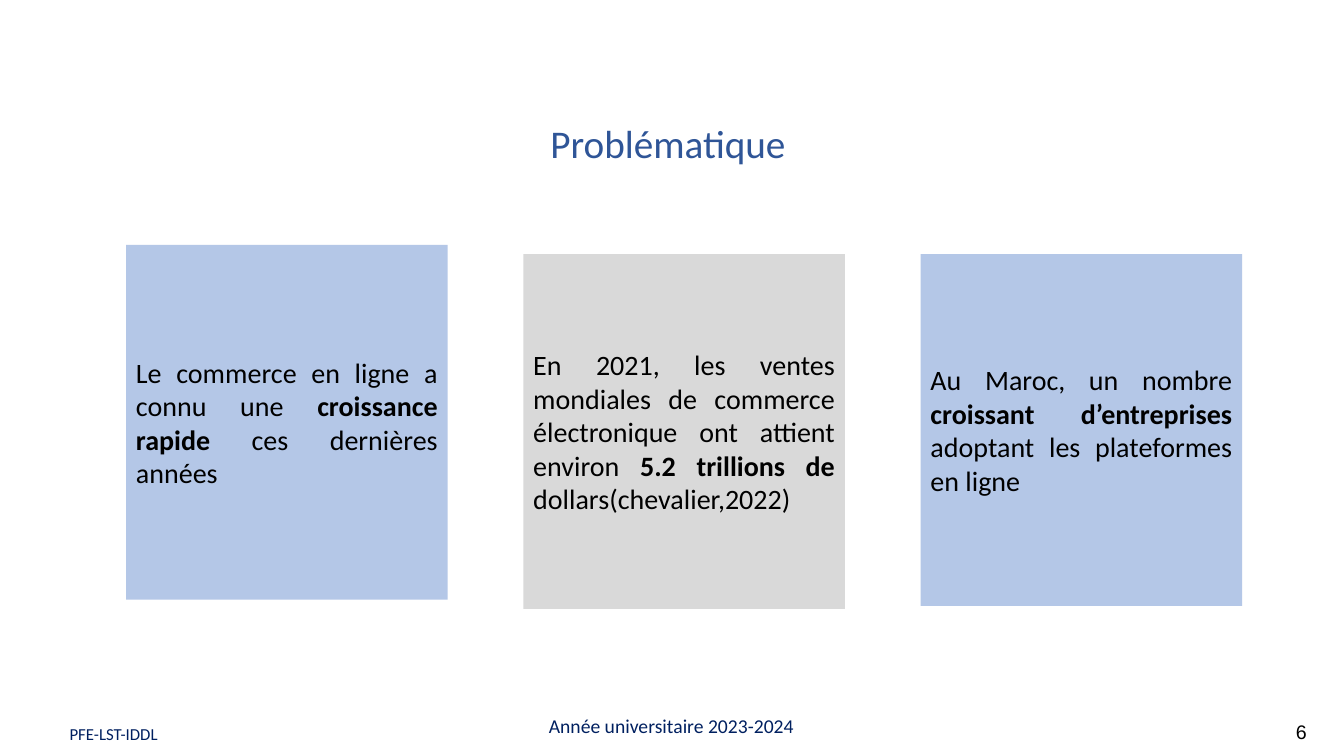
from dataclasses import dataclass

from pptx import Presentation
from pptx.dml.color import RGBColor
from pptx.enum.shapes import MSO_SHAPE
from pptx.enum.text import MSO_ANCHOR, PP_ALIGN
from pptx.util import Inches, Pt

TITLE = "Problématique"
FACTS = [
    {"fill": "blue", "top": 2.43, "height": 3.52, "runs": [
        ("Le commerce en ligne a connu une ", False),
        ("croissance rapide ", True),
        ("ces dernières années", False)]},
    {"fill": "grey", "top": 2.52, "height": 3.52, "runs": [
        ("En 2021, les ventes mondiales de commerce électronique ont attient environ", False),
        (" 5.2 trillions de ", True),
        ("dollars(chevalier,2022)", False)]},
    {"fill": "blue", "top": 2.52, "height": 3.49, "runs": [
        ("Au Maroc, un nombre ", False),
        ("croissant d’entreprises ", True),
        ("adoptant les plateformes en ligne", False)]},
]
PROGRAMME = "PFE-LST-IDDL"
ACADEMIC_YEAR = "Année universitaire 2023-2024"
PAGE_NUMBER = "6"


@dataclass(frozen=True)
class Theme:
    blue: str = "B4C7E7"
    grey: str = "D9D9D9"
    white: str = "FFFFFF"
    black: str = "000000"
    title: str = "2F5597"
    footer: str = "002060"
    body_font: str = "Calibri"
    number_font: str = "Arial"
    title_size: int = 28
    body_size: int = 20
    footer_size: int = 14
    small_size: int = 12


THEME = Theme()
FIRST_COLUMN, COLUMN_STEP, CARD_WIDTH = 1.25, 3.94, 3.19

presentation = Presentation()
presentation.slide_width = Inches(13.33)
presentation.slide_height = Inches(7.5)
slide = presentation.slides.add_slide(presentation.slide_layouts[6])


def write(holder, runs, size, color, align, anchor=MSO_ANCHOR.MIDDLE, font=THEME.body_font):
    frame = holder.text_frame
    frame.word_wrap = True
    frame.vertical_anchor = anchor
    paragraph = frame.paragraphs[0]
    paragraph.alignment = align
    for words, bold in runs:
        run = paragraph.add_run()
        run.text = words
        run.font.name = font
        run.font.size = Pt(size)
        run.font.bold = bold
        run.font.color.rgb = RGBColor.from_string(color)


def add_panel(box, fill):
    panel = slide.shapes.add_shape(MSO_SHAPE.RECTANGLE, *map(Inches, box))
    panel.shadow.inherit = False
    panel.fill.solid()
    panel.fill.fore_color.rgb = RGBColor.from_string(fill)
    panel.line.fill.background()
    return panel


def add_label(box, words, *style, **options):
    label = slide.shapes.add_textbox(*map(Inches, box))
    write(label, [(words, False)], *style, **options)


add_label((3.9, 1.13, 5.45, 0.57), TITLE, THEME.title_size, THEME.title,
          PP_ALIGN.CENTER, anchor=MSO_ANCHOR.TOP)

for column, fact in enumerate(FACTS):
    left = FIRST_COLUMN + column * COLUMN_STEP
    card = add_panel((left, fact["top"], CARD_WIDTH, fact["height"]), getattr(THEME, fact["fill"]))
    write(card, fact["runs"], THEME.body_size, THEME.black, PP_ALIGN.JUSTIFY)

add_label((10.73, 7.06, 2.33, 0.4), PAGE_NUMBER, THEME.footer_size, THEME.black,
          PP_ALIGN.RIGHT, font=THEME.number_font)

footer_band = add_panel((0.55, 7.15, 10, 0.27), THEME.white)
footer_band.text_frame.margin_left = Inches(0.14)
write(footer_band, [(PROGRAMME, False)], THEME.small_size, THEME.footer, PP_ALIGN.LEFT)

add_label((3.33, 7.03, 6.66, 0.34), ACADEMIC_YEAR, THEME.footer_size, THEME.footer,
          PP_ALIGN.CENTER, anchor=MSO_ANCHOR.TOP)

presentation.save("out.pptx")
